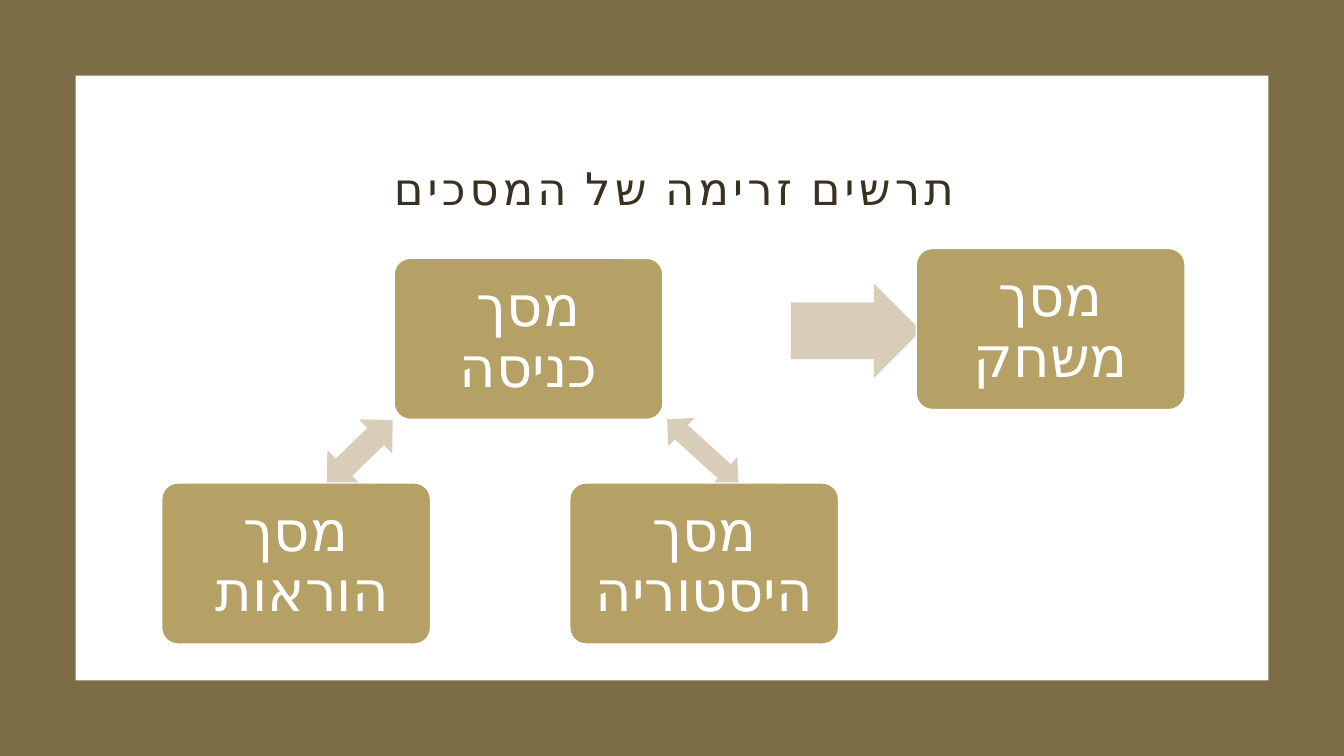
from pptx import Presentation
from pptx.dml.color import RGBColor
from pptx.enum import shapes, text
from pptx.oxml import xmlchemy as xc
from pptx.util import Pt

COLORS = {
    "frame": "7C6D46",
    "panel": "FFFFFF",
    "title": "393220",
    "screen": "B5A065",
    "arrow": "D7CDB8",
    "label": "FFFFFF",
}
SHAPE = shapes.MSO_SHAPE
WIDTH, HEIGHT, MARGIN = 960, 540, 54
SCREEN_WIDTH, SCREEN_HEIGHT = 192, 115


def write_text(frame, wording, *, size, font, color, anchor, inset, spacing=0, rtl=False):
    frame.word_wrap = True
    frame.auto_size = text.MSO_AUTO_SIZE.NONE
    frame.vertical_anchor = anchor
    frame.margin_left = frame.margin_right = Pt(inset)
    frame.margin_top = frame.margin_bottom = Pt(inset)
    line = frame.paragraphs[0]
    line.alignment = text.PP_ALIGN.CENTER
    line.line_spacing = 0.9
    if rtl:
        line._p.get_or_add_pPr().set("rtl", "1")
    words = line.add_run()
    words.text = wording
    words.font.size = Pt(size)
    words.font.name = font
    words.font.color.rgb = RGBColor.from_string(COLORS[color])
    properties = words.font._element
    properties.set("lang", "he-IL")
    properties.set("spc", str(spacing * 100))
    script_font = xc.OxmlElement("a:cs")
    script_font.set("typeface", "Cabin")
    properties.append(script_font)


def add_block(slide, kind, box, color, rotation=0, adjustments=(), outline=None):
    block = slide.shapes.add_shape(kind, *map(Pt, box))
    block.shadow.inherit = False
    block.rotation = rotation
    for index, value in enumerate(adjustments):
        block.adjustments[index] = value
    block.fill.solid()
    block.fill.fore_color.rgb = RGBColor.from_string(COLORS[color])
    if outline:
        block.line.color.rgb = RGBColor.from_string(COLORS[outline])
        block.line.width = Pt(1)
    else:
        block.line.fill.background()
    return block


def add_frame(slide, box, margin):
    left, top, width, height = box
    add_block(slide, SHAPE.RECTANGLE, box, "frame")
    panel = (left + margin, top + margin, width - 2 * margin, height - 2 * margin)
    add_block(slide, SHAPE.RECTANGLE, panel, "panel")


def add_title(slide, box, wording):
    title = slide.shapes.title
    title.left, title.top, title.width, title.height = map(Pt, box)
    write_text(title.text_frame, wording, size=32, font="Times New Roman",
               color="title", anchor=text.MSO_ANCHOR.BOTTOM, inset=4, spacing=3)
    tree = slide.shapes._spTree
    tree.remove(title._element)
    tree.append(title._element)


def add_screen(slide, box, wording):
    screen = add_block(slide, SHAPE.ROUNDED_RECTANGLE, box, "screen",
                       adjustments=[0.1], outline="panel")
    write_text(screen.text_frame, wording, size=40, font="Cabin", color="label",
               anchor=text.MSO_ANCHOR.MIDDLE, inset=12, rtl=True)


def add_flow(slide, box):
    left, top = box[:2]

    def place_screen(x, y, wording):
        add_screen(slide, (left + x, top + y, SCREEN_WIDTH, SCREEN_HEIGHT), wording)

    def place_arrow(kind, x, y, width, height, rotation=0, adjustments=()):
        add_block(slide, kind, (left + x, top + y, width, height), "arrow",
                  rotation, adjustments)

    place_screen(166, 7, "מסך כניסה")
    place_arrow(SHAPE.UP_DOWN_ARROW, 124.5, 112.5, 34, 65.5, 225.9)
    place_screen(0, 167.5, "מסך הוראות ")
    place_arrow(SHAPE.RIGHT_ARROW, 449.5, 25, 93, 67.5, adjustments=[0.6, 0.5])
    place_screen(539, 0, "מסך משחק")
    place_arrow(SHAPE.LEFT_RIGHT_ARROW, 352, 131.5, 69, 27.5, 42.3)
    place_screen(291.5, 167.5, "מסך היסטוריה")


def main():
    deck = Presentation()
    deck.slide_width, deck.slide_height = Pt(WIDTH), Pt(HEIGHT)
    slide = deck.slides.add_slide(deck.slide_layouts[5])
    add_frame(slide, (0, 0, WIDTH, HEIGHT), MARGIN)
    add_title(slide, (108, 79, 747, 79), "תרשים זרימה של המסכים")
    add_flow(slide, (115.5, 177.5, 731, 282.5))
    deck.save("out.pptx")


if __name__ == "__main__":
    main()
